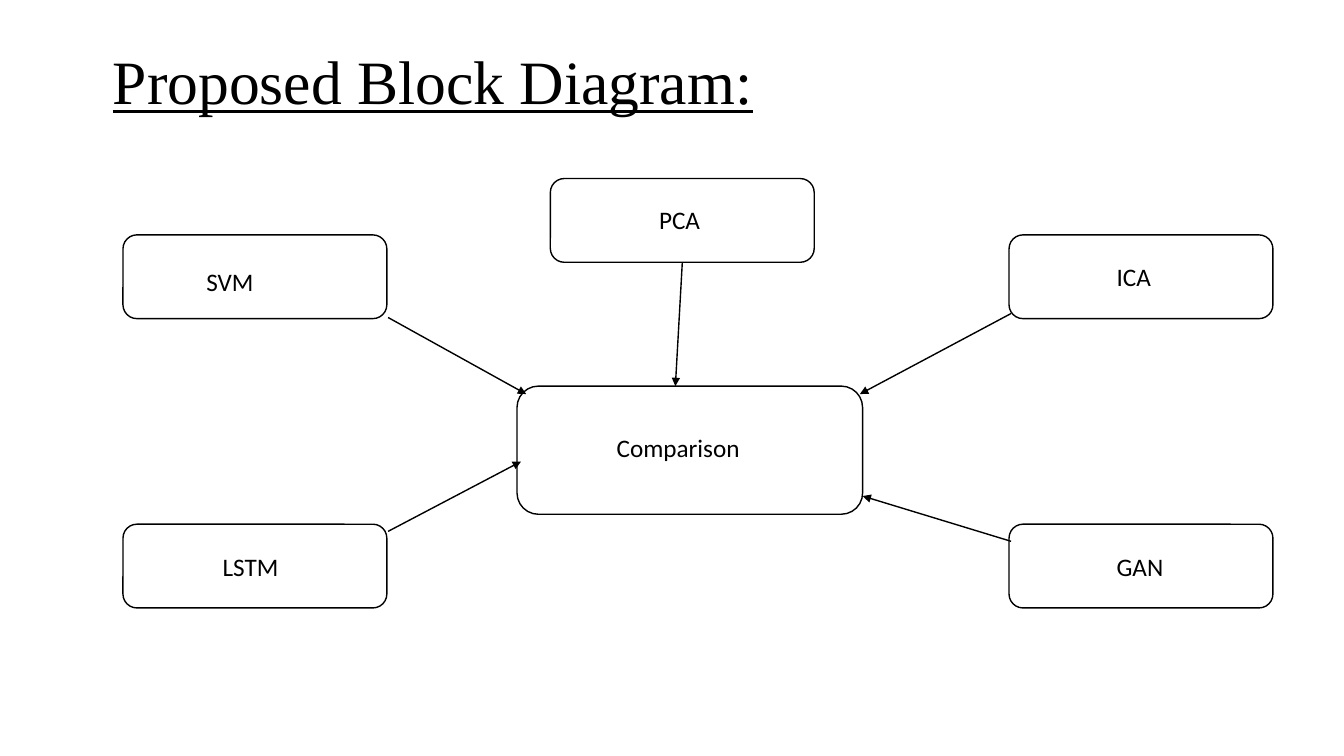
from lxml import etree
from pptx import Presentation
from pptx.dml.color import RGBColor
from pptx.enum.shapes import MSO_CONNECTOR, MSO_SHAPE
from pptx.enum.text import MSO_ANCHOR, MSO_AUTO_SIZE, PP_ALIGN
from pptx.oxml.ns import qn
from pptx.util import Cm, Pt

ROUNDED = MSO_SHAPE.ROUNDED_RECTANGLE
STRAIGHT = MSO_CONNECTOR.STRAIGHT
MIDDLE = MSO_ANCHOR.MIDDLE
LEFT = PP_ALIGN.LEFT
NO_FIT, GROW = MSO_AUTO_SIZE.NONE, MSO_AUTO_SIZE.SHAPE_TO_FIT_TEXT
BOTTOM = 2

BLACK = "000000"
HEADING = "Proposed Block Diagram:"
HEADING_AREA = (2.59, 0.3, 29.21, 3.68)
HEADING_FONT = {"name": "Times New Roman", "size": Pt(44), "underline": True, "bold": False}
LABEL_FONT = {"name": "Calibri", "size": Pt(18)}
LABEL_HEIGHT = 1.02

METHOD_SIZE = (6.65, 2.11)
COMPARISON_SIZE = (8.71, 3.23)
LEFT_COLUMN, RIGHT_COLUMN = 3.1, 25.43
UPPER_ROW, LOWER_ROW = 5.92, 13.21

BLOCKS = {
    "Comparison": ((13.03, 9.73), COMPARISON_SIZE, (15.29, 10.77, 3.66)),
    "PCA": ((13.87, 4.5), METHOD_SIZE, (16.36, 5.03, 1.55)),
    "GAN": ((RIGHT_COLUMN, LOWER_ROW), METHOD_SIZE, (27.89, 13.77, 1.7)),
    "LSTM": ((LEFT_COLUMN, LOWER_ROW), METHOD_SIZE, (5.36, 13.77, 1.93)),
    "ICA": ((RIGHT_COLUMN, UPPER_ROW), METHOD_SIZE, (27.89, 6.45, 1.4)),
    "SVM": ((LEFT_COLUMN, UPPER_ROW), METHOD_SIZE, (4.95, 6.58, 1.73)),
}
ARROWS = {
    "SVM": (9.78, 8.0, 13.26, 9.93),
    "ICA": (25.48, 7.9, 21.67, 9.93),
    "GAN": (25.48, 13.64, 21.74, 12.5),
    "PCA": (17.2, 6.61, 17.02, 9.73),
    "LSTM": (9.78, 13.39, 13.13, 11.63),
}


def lengths(values):
    return [Cm(value) for value in values]


def color(hex_value):
    return RGBColor.from_string(hex_value)


def write(frame, text, font_format):
    frame.text = text
    paragraph = frame.paragraphs[0]
    paragraph.alignment = LEFT
    font = paragraph.runs[0].font
    for attribute, value in font_format.items():
        setattr(font, attribute, value)
    font.color.rgb = color(BLACK)
    return paragraph


def outline(line):
    line.color.rgb = color(BLACK)
    line.width = Pt(1)


def add_heading(slide):
    heading = slide.shapes.title
    heading.left, heading.top, heading.width, heading.height = lengths(HEADING_AREA)
    frame = heading.text_frame
    frame.auto_size = NO_FIT
    frame.vertical_anchor = MIDDLE
    write(frame, HEADING, HEADING_FONT).line_spacing = 0.9


def add_block(slide, position, size):
    block = slide.shapes.add_shape(ROUNDED, *lengths(position + size))
    block.shadow.inherit = False
    block.fill.background()
    outline(block.line)
    return block


def add_label(slide, text, area):
    label = slide.shapes.add_textbox(*lengths(area + (LABEL_HEIGHT,)))
    frame = label.text_frame
    frame.word_wrap = False
    frame.auto_size = GROW
    write(frame, text, LABEL_FONT)


def add_arrow(slide, ends):
    arrow = slide.shapes.add_connector(STRAIGHT, *lengths(ends))
    outline(arrow.line)
    line = arrow.line._get_or_add_ln()
    etree.SubElement(line, qn("a:tailEnd"), type="triangle")
    etree.SubElement(arrow._element.spPr, qn("a:effectLst"))
    return arrow


def main():
    deck = Presentation()
    deck.slide_width, deck.slide_height = Cm(33.87), Cm(19.05)
    slide = deck.slides.add_slide(deck.slide_layouts[5])
    add_heading(slide)
    blocks = {
        name: add_block(slide, position, size)
        for name, (position, size, _) in BLOCKS.items()
    }
    for name, (_, _, label_area) in BLOCKS.items():
        add_label(slide, name, label_area)
    arrows = {name: add_arrow(slide, ends) for name, ends in ARROWS.items()}
    arrows["PCA"].begin_connect(blocks["PCA"], BOTTOM)
    deck.save("out.pptx")


if __name__ == "__main__":
    main()
